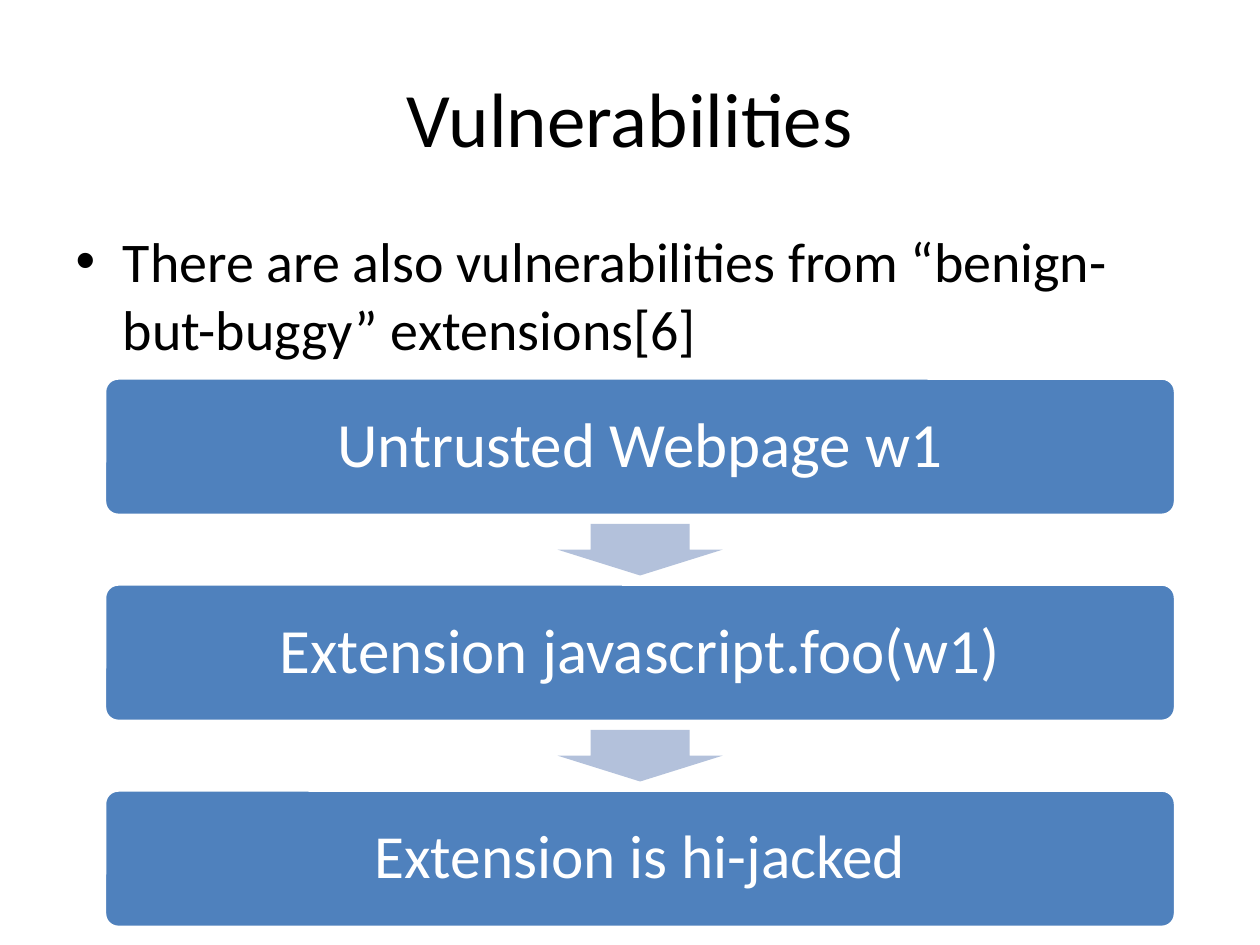
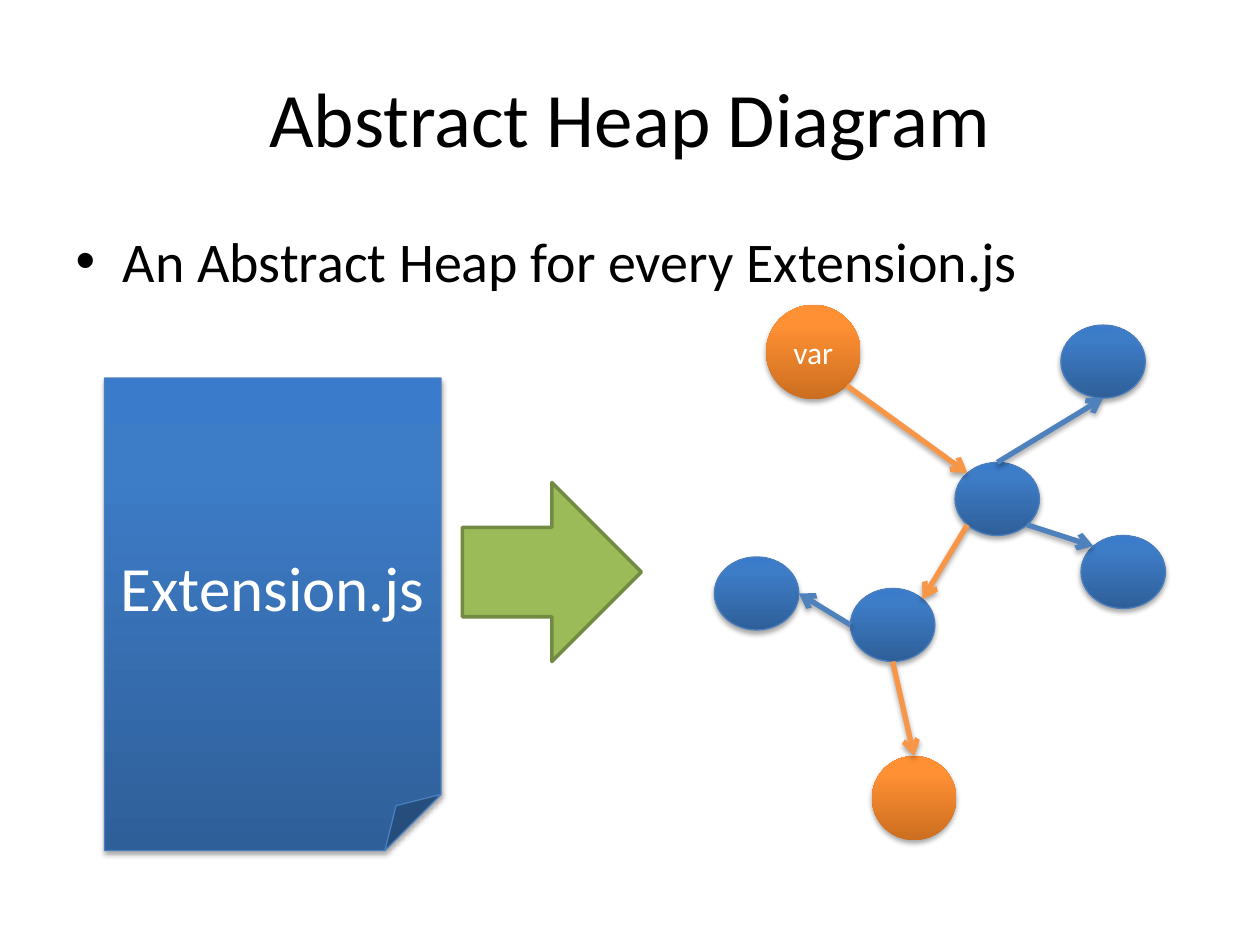
from dataclasses import dataclass
from math import cos, pi, sin

from lxml.etree import SubElement
from pptx import Presentation
from pptx.dml.color import RGBColor
from pptx.enum.shapes import MSO_CONNECTOR, MSO_SHAPE
from pptx.enum.text import MSO_ANCHOR, PP_ALIGN
from pptx.oxml.ns import qn
from pptx.util import Inches, Pt


@dataclass(frozen=True)
class Theme:
    font: str = "Calibri"
    black: str = "000000"
    white: str = "FFFFFF"
    blue: str = "4F81BD"
    pale_blue: str = "B3C1DB"
    blue_edge: str = "4B7EBC"
    orange: str = "F79646"
    green: str = "9BBB59"
    green_edge: str = "738A42"
    blue_gradient: tuple = ((0, "2F5F99"), (80, "3D7CC7"), (100, "3A7CCB"))
    orange_gradient: tuple = ((0, "CC6E20"), (80, "FF9034"), (100, "FF9136"))
    title: int = 44
    body: int = 32
    label: int = 36
    small: int = 18


THEME = Theme()

# Content: title and bullet of each slide
VULNERABILITIES = ("Vulnerabilities",
                   "There are also vulnerabilities from “benign-but-buggy” extensions[6]")
HEAP = ("Abstract Heap Diagram", "An Abstract Heap for every Extension.js")

# Content: attack steps with their type sizes
ATTACK_STEPS = [("Untrusted Webpage w1", THEME.label),
                ("Extension javascript.foo(w1)", THEME.label),
                ("Extension is hi-jacked", THEME.label - 1)]

# Content: heap nodes as left, top, width, height, gradient, label
BLUE_SIZE = (0.67, 0.58)
HEAP_NODES = {
    "var": (6.08, 2.42, 0.75, 0.75, THEME.orange_gradient, "var"),
    "left": (5.67, 4.42, *BLUE_SIZE, THEME.blue_gradient, ""),
    "upper right": (8.42, 2.58, *BLUE_SIZE, THEME.blue_gradient, ""),
    "target": (6.92, 6, 0.67, 0.67, THEME.orange_gradient, ""),
    "right": (8.58, 4.25, *BLUE_SIZE, THEME.blue_gradient, ""),
    "lower": (6.75, 4.67, *BLUE_SIZE, THEME.blue_gradient, ""),
    "hub": (7.58, 3.67, *BLUE_SIZE, THEME.blue_gradient, ""),
}
# Ellipse sites run counter-clockwise: 0 top, 2 left, 4 bottom, 6 right
HEAP_EDGES = [("var", 5, "hub", 1, THEME.orange),
              ("hub", 0, "upper right", 4, THEME.blue),
              ("hub", 5, "right", 1, THEME.blue),
              ("hub", 3, "lower", 7, THEME.orange),
              ("lower", 2, "left", 6, THEME.blue),
              ("lower", 4, "target", 0, THEME.orange)]

# Layout of the attack flow
STEP_LEFT, STEP_TOP, STEP_WIDTH, STEP_HEIGHT, STEP_GAP = 0.83, 3, 8.5, 1.09, 0.545
ARROW_LENGTH, ARROW_BREADTH = 0.41, 1.31


def write(frame, text, *, size, color=THEME.white, align=PP_ALIGN.CENTER,
          anchor=MSO_ANCHOR.MIDDLE, spacing=None, inset=None):
    """Put formatted text in a text frame."""
    frame.word_wrap = True
    frame.vertical_anchor = anchor
    if inset is not None:
        frame.margin_left = frame.margin_right = Inches(inset)
        frame.margin_top = frame.margin_bottom = Inches(inset)
    paragraph = frame.paragraphs[0]
    paragraph.alignment = align
    if spacing:
        paragraph.line_spacing = spacing
    run = paragraph.add_run()
    run.text = text
    run.font.name, run.font.size = THEME.font, Pt(size)
    run.font.color.rgb = RGBColor.from_string(color)


def place(shape, left, top, width, height):
    shape.left, shape.top = Inches(left), Inches(top)
    shape.width, shape.height = Inches(width), Inches(height)


def add_shadow(effects):
    shadow = SubElement(effects, qn("a:outerShdw"), blurRad=str(Pt(3.1)),
                        dist=str(Pt(1.8)), dir="5400000", rotWithShape="0")
    color = SubElement(shadow, qn("a:srgbClr"), val=THEME.black)
    SubElement(color, qn("a:alpha"), val="35000")


def fill_gradient(shape, stops):
    """Fill from bottom to top with the given stops."""
    shape.fill.gradient()
    gradient = shape.element.spPr.find(qn("a:gradFill"))
    gradient.clear()
    stop_list = SubElement(gradient, qn("a:gsLst"))
    for percent, color in stops:
        stop = SubElement(stop_list, qn("a:gs"), pos=str(percent * 1000))
        SubElement(stop, qn("a:srgbClr"), val=color)
    SubElement(gradient, qn("a:lin"), ang="16200000", scaled="0")


def add_figure(slide, kind, box, *, fill=None, gradient=None, edge=None,
               edge_width=0.75, adjust=(), shadow=False):
    figure = slide.shapes.add_shape(kind, *(Inches(length) for length in box))
    for index, value in enumerate(adjust):
        figure.adjustments[index] = value
    if gradient:
        fill_gradient(figure, gradient)
    else:
        figure.fill.solid()
        figure.fill.fore_color.rgb = RGBColor.from_string(fill)
    if edge:
        figure.line.color.rgb = RGBColor.from_string(edge)
        figure.line.width = Pt(edge_width)
    else:
        figure.line.fill.background()
    figure.shadow.inherit = False
    if shadow:
        add_shadow(figure.element.spPr.find(qn("a:effectLst")))
    return figure


def site_point(node, site):
    """Position of one of the eight sites on an ellipse."""
    angle = site * pi / 4
    return (round(node.left + node.width / 2 * (1 - sin(angle))),
            round(node.top + node.height / 2 * (1 - cos(angle))))


def add_edge(slide, source, source_site, target, target_site, color):
    edge = slide.shapes.add_connector(MSO_CONNECTOR.STRAIGHT,
                                      *site_point(source, source_site),
                                      *site_point(target, target_site))
    edge.line.color.rgb = RGBColor.from_string(color)
    edge.line.width = Pt(3)
    properties = edge.element.spPr
    SubElement(properties.find(qn("a:ln")), qn("a:tailEnd"), type="arrow")
    add_shadow(SubElement(properties, qn("a:effectLst")))
    # begin_connect covers only four sites, so the eight-site joins are set here
    joins = edge.element.nvCxnSpPr.cNvCxnSpPr
    for tag, node, site in (("a:stCxn", source, source_site),
                            ("a:endCxn", target, target_site)):
        SubElement(joins, qn(tag), id=str(node.shape_id), idx=str(site))


def add_content_slide(deck, title, bullet):
    slide = deck.slides.add_slide(deck.slide_layouts[1])
    heading, body = slide.placeholders
    place(heading, 0.5, 0.3, 9, 1.25)
    place(body, 0.5, 1.75, 9, 4.95)
    write(heading.text_frame, title, size=THEME.title, color=THEME.black)
    write(body.text_frame, bullet, size=THEME.body, color=THEME.black,
          align=PP_ALIGN.LEFT, anchor=MSO_ANCHOR.TOP)
    return slide


def build_vulnerabilities(deck):
    slide = add_content_slide(deck, *VULNERABILITIES)
    for index, (label, size) in enumerate(ATTACK_STEPS):
        top = STEP_TOP + index * (STEP_HEIGHT + STEP_GAP)
        if index:
            # The arrow is centred in the gap above and turned to point down
            arrow = add_figure(slide, MSO_SHAPE.RIGHT_ARROW,
                               (STEP_LEFT + (STEP_WIDTH - ARROW_LENGTH) / 2,
                                top - (STEP_GAP + ARROW_BREADTH) / 2,
                                ARROW_LENGTH, ARROW_BREADTH),
                               fill=THEME.pale_blue, adjust=(0.6, 0.5))
            arrow.rotation = 90
        step = add_figure(slide, MSO_SHAPE.ROUNDED_RECTANGLE,
                          (STEP_LEFT, top, STEP_WIDTH, STEP_HEIGHT),
                          fill=THEME.blue, edge=THEME.white, edge_width=2, adjust=(0.1,))
        write(step.text_frame, label, size=size, spacing=0.9, inset=0.15)


def build_heap(deck):
    slide = add_content_slide(deck, *HEAP)

    # Source file and the arrow to its heap
    source_file = add_figure(slide, MSO_SHAPE.FOLDED_CORNER, (0.83, 3, 2.67, 3.75),
                             gradient=THEME.blue_gradient, edge=THEME.blue_edge, shadow=True)
    write(source_file.text_frame, "Extension.js", size=THEME.label)
    add_figure(slide, MSO_SHAPE.RIGHT_ARROW, (3.67, 3.83, 1.42, 1.42),
               fill=THEME.green, edge=THEME.green_edge, edge_width=2)

    # Heap graph
    nodes = {}
    for name, (*box, gradient, label) in HEAP_NODES.items():
        edge = THEME.blue_edge if gradient is THEME.blue_gradient else None
        nodes[name] = add_figure(slide, MSO_SHAPE.OVAL, box, gradient=gradient,
                                 edge=edge, shadow=True)
        if label:
            write(nodes[name].text_frame, label, size=THEME.small)
    for source, source_site, target, target_site, color in HEAP_EDGES:
        add_edge(slide, nodes[source], source_site, nodes[target], target_site, color)


def main():
    deck = Presentation()
    deck.slide_width, deck.slide_height = Inches(10), Inches(7.5)
    build_vulnerabilities(deck)
    build_heap(deck)
    deck.save("out.pptx")


if __name__ == "__main__":
    main()
